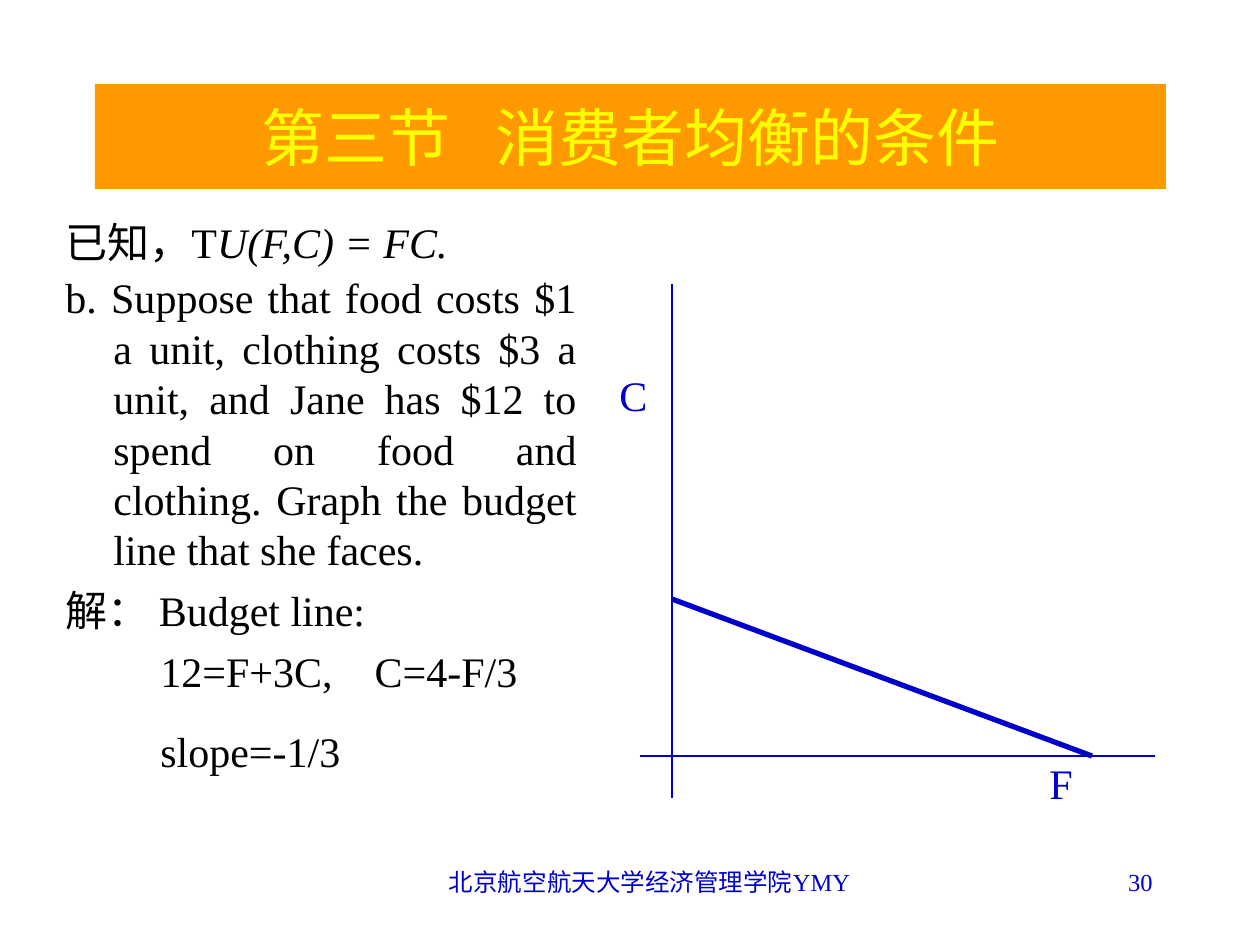
from lxml.etree import SubElement
from pptx import Presentation
from pptx.dml.color import RGBColor
from pptx.enum.shapes import MSO_CONNECTOR as Connector, MSO_SHAPE as Shape
from pptx.enum.text import MSO_ANCHOR as Anchor, PP_ALIGN as Align
from pptx.oxml.ns import qn
from pptx.util import Pt

SCALE = 914400 / 126  # EMU per px
BLACK = RGBColor(0x00, 0x00, 0x00)
BLUE = RGBColor(0x00, 0x00, 0xCC)
ORANGE = RGBColor(0xFF, 0x99, 0x00)
YELLOW = RGBColor(0xFF, 0xFF, 0x00)
FONT = "Times New Roman"
WIDE = 18  # extra points that widen a single space


def px(*lengths):
    return [round(length * SCALE) for length in lengths]


def write(para, spans, size, color, align):
    """Fill a paragraph with (text, italic, extra spacing) spans."""
    para.alignment = align
    for text, italic, spacing in spans:
        span = para.add_run()
        span.text = text
        formats = {"name": FONT, "size": Pt(size), "italic": italic}
        for key, value in formats.items():
            setattr(span.font, key, value)
        span.font.color.rgb = color
        if spacing:
            span.font._element.set("spc", str(spacing * 100))


deck = Presentation()
deck.slide_width, deck.slide_height = px(1260, 945)
page = deck.slides.add_slide(deck.slide_layouts[6])

# Title bar
bar = page.shapes.add_shape(Shape.RECTANGLE, *px(95, 84, 1071, 105))
bar.shadow.inherit = False
bar.fill.solid()
bar.fill.fore_color.rgb = ORANGE
bar.line.fill.background()
bar.text_frame.vertical_anchor = Anchor.MIDDLE
title = [("第三节", False, 0), (" ", False, WIDE), ("消费者均衡的条件", False, 0)]
write(bar.text_frame.paragraphs[0], title, 36, YELLOW, Align.CENTER)

# Problem and solution: spans, left margin, first-line indent, space before, alignment
problem = ("b. Suppose that food costs $1 a unit, clothing costs $3 a unit, and Jane has "
           "$12 to spend on food and clothing. Graph the budget line that she faces.")
body = [
    ([("已知，T", False, 0), ("U(F,C) = FC.", True, 0)], 48, -48, 0, Align.JUSTIFY),
    ([(problem, False, 0)], 48, -48, 3, Align.JUSTIFY),
    ([("解： Budget line:", False, 0)], 48, -48, 6, Align.JUSTIFY),
    ([("12=F+3C,", False, 0), (" ", False, WIDE), ("C=4-F/3", False, 0)],
     95, 0, 6, Align.JUSTIFY),
    ([("slope=-1/3", False, 0)], 95, 0, 17, Align.LEFT),
]
box = page.shapes.add_textbox(*px(53, 210, 536, 630))
frame = box.text_frame
frame.word_wrap = True
for index, (spans, margin, indent, before, align) in enumerate(body):
    para = frame.add_paragraph() if index else frame.paragraphs[0]
    write(para, spans, 24, BLACK, align)
    para.space_before = Pt(before)
    for key, length in zip(("marL", "indent"), px(margin, indent)):
        para._p.get_or_add_pPr().set(key, str(length))

# Axes and budget line
for ends, width in [
    ((672, 284, 672, 798), 0.75),
    ((640, 756, 1155, 756), 0.75),
    ((672, 599, 1092, 756), 3),
]:
    line = page.shapes.add_connector(Connector.STRAIGHT, *px(*ends))
    line.line.color.rgb = BLUE
    line.line.width = Pt(width)
    SubElement(line._element.spPr, qn("a:effectLst"))

# Axis labels, footer and page number
for text, place, size, align, wrap in [
    ("F", (1037, 751, 48, 63), 24, Align.LEFT, False),
    ("C", (607, 363, 53, 63), 24, Align.LEFT, False),
    ("北京航空航天大学经济管理学院YMY", (431, 861, 437, 38), 14, Align.CENTER, True),
    ("30", (903, 861, 262, 63), 14, Align.RIGHT, True),
]:
    label = page.shapes.add_textbox(*px(*place))
    label.text_frame.word_wrap = wrap
    write(label.text_frame.paragraphs[0], [(text, False, 0)], size, BLUE, align)

deck.save("out.pptx")
